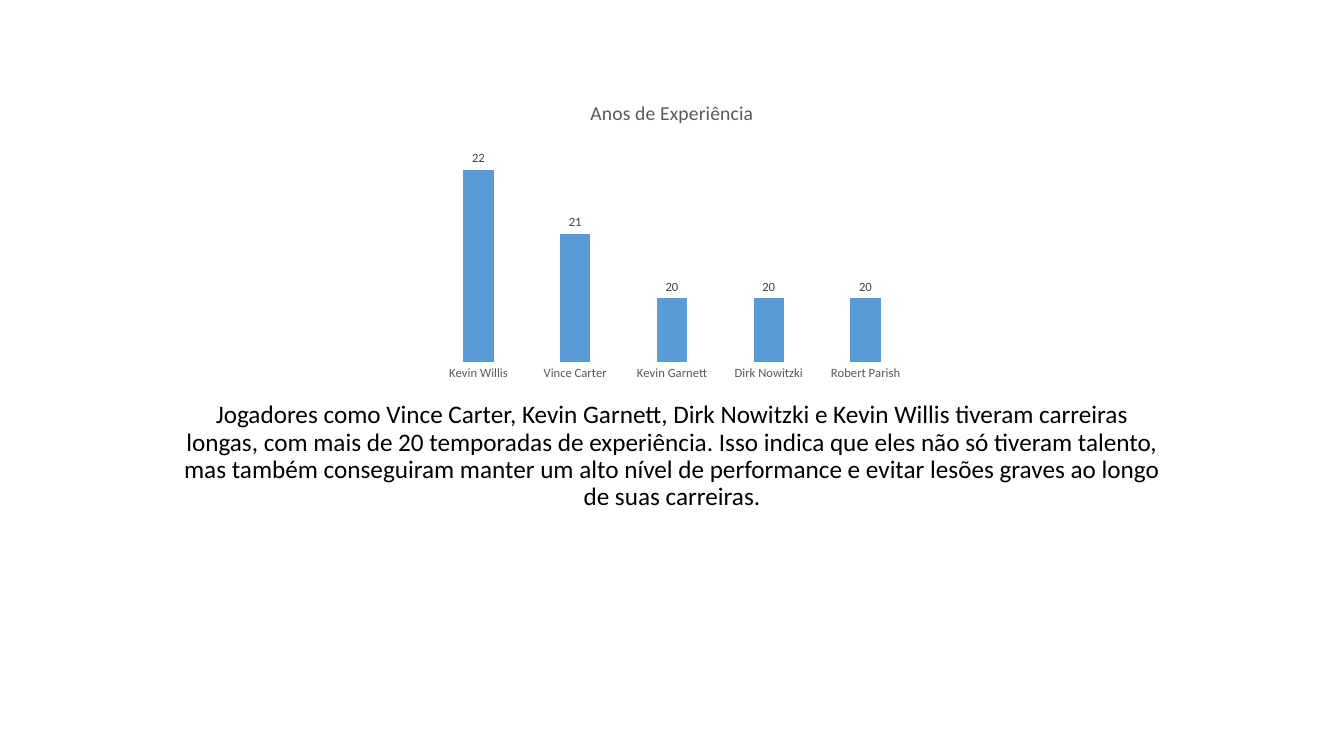
import pptx
import pptx.chart.data
import pptx.dml.color
import pptx.enum.chart
import pptx.enum.text
import pptx.util

Cm = pptx.util.Cm
Pt = pptx.util.Pt
RGBColor = pptx.dml.color.RGBColor

TITLE = "Anos de Experiência"
YEARS = {
    "Kevin Willis": 22,
    "Vince Carter": 21,
    "Kevin Garnett": 20,
    "Dirk Nowitzki": 20,
    "Robert Parish": 20,
}
COMMENTARY = (
    "Jogadores como Vince Carter, Kevin Garnett, Dirk Nowitzki e Kevin Willis "
    "tiveram carreiras longas, com mais de 20 temporadas de experiência. Isso "
    "indica que eles não só tiveram talento, mas também conseguiram manter um "
    "alto nível de performance e evitar lesões graves ao longo de suas carreiras."
)

FONT = "Calibri"
BLACK = RGBColor(0x00, 0x00, 0x00)
GREY = RGBColor(0x59, 0x59, 0x59)
DARK_GREY = RGBColor(0x40, 0x40, 0x40)
BLUE = RGBColor(0x5B, 0x9B, 0xD5)

SLIDE_WIDTH, SLIDE_HEIGHT = Cm(33.87), Cm(19.05)
CHART_WIDTH, CHART_HEIGHT, CHART_TOP = Cm(12.7), Cm(7.62), Cm(2.13)
TEXT_WIDTH, TEXT_HEIGHT, TEXT_TOP = Cm(25.4), Cm(4.6), Cm(10.01)


def style_font(font, size, color):
    font.name = FONT
    font.size = Pt(size)
    font.bold = False
    font.color.rgb = color


def centred_left(width):
    return (SLIDE_WIDTH - width) // 2


def add_commentary(slide):
    box = slide.shapes.add_textbox(
        centred_left(TEXT_WIDTH), TEXT_TOP, TEXT_WIDTH, TEXT_HEIGHT
    )
    box.text_frame.word_wrap = True
    box.text_frame.text = COMMENTARY
    paragraph = box.text_frame.paragraphs[0]
    paragraph.alignment = pptx.enum.text.PP_ALIGN.CENTER
    paragraph.line_spacing = 0.9
    paragraph.space_before = Pt(10)
    style_font(paragraph.runs[0].font, 18, BLACK)


def add_years_chart(slide):
    data = pptx.chart.data.CategoryChartData(number_format="0")
    data.categories = list(YEARS)
    data.add_series(TITLE, list(YEARS.values()))
    chart = slide.shapes.add_chart(
        pptx.enum.chart.XL_CHART_TYPE.COLUMN_CLUSTERED,
        centred_left(CHART_WIDTH), CHART_TOP, CHART_WIDTH, CHART_HEIGHT, data,
    ).chart
    style_font(chart.font, 10, BLACK)
    chart.has_legend = False
    chart.has_title = True
    chart.chart_title.include_in_layout = False
    chart.chart_title.text_frame.text = TITLE
    style_font(chart.chart_title.text_frame.paragraphs[0].runs[0].font, 14, GREY)

    category_axis = chart.category_axis
    category_axis.major_tick_mark = pptx.enum.chart.XL_TICK_MARK.NONE
    category_axis.format.line.fill.background()
    style_font(category_axis.tick_labels.font, 9, GREY)

    value_axis = chart.value_axis
    value_axis.visible = False
    value_axis.has_major_gridlines = False
    value_axis.minimum_scale = 19
    value_axis.maximum_scale = 22.5

    plot = chart.plots[0]
    plot.vary_by_categories = False
    plot.gap_width = 219
    plot.overlap = -27
    series = plot.series[0]
    series.format.fill.solid()
    series.format.fill.fore_color.rgb = BLUE
    labels = series.data_labels
    labels.show_value = True
    labels.number_format = "0"
    labels.number_format_is_linked = False
    labels.position = pptx.enum.chart.XL_LABEL_POSITION.OUTSIDE_END
    style_font(labels.font, 9, DARK_GREY)


def main():
    presentation = pptx.Presentation()
    presentation.slide_width = SLIDE_WIDTH
    presentation.slide_height = SLIDE_HEIGHT
    slide = presentation.slides.add_slide(presentation.slide_layouts[6])
    add_commentary(slide)
    add_years_chart(slide)
    presentation.save("out.pptx")


if __name__ == "__main__":
    main()
